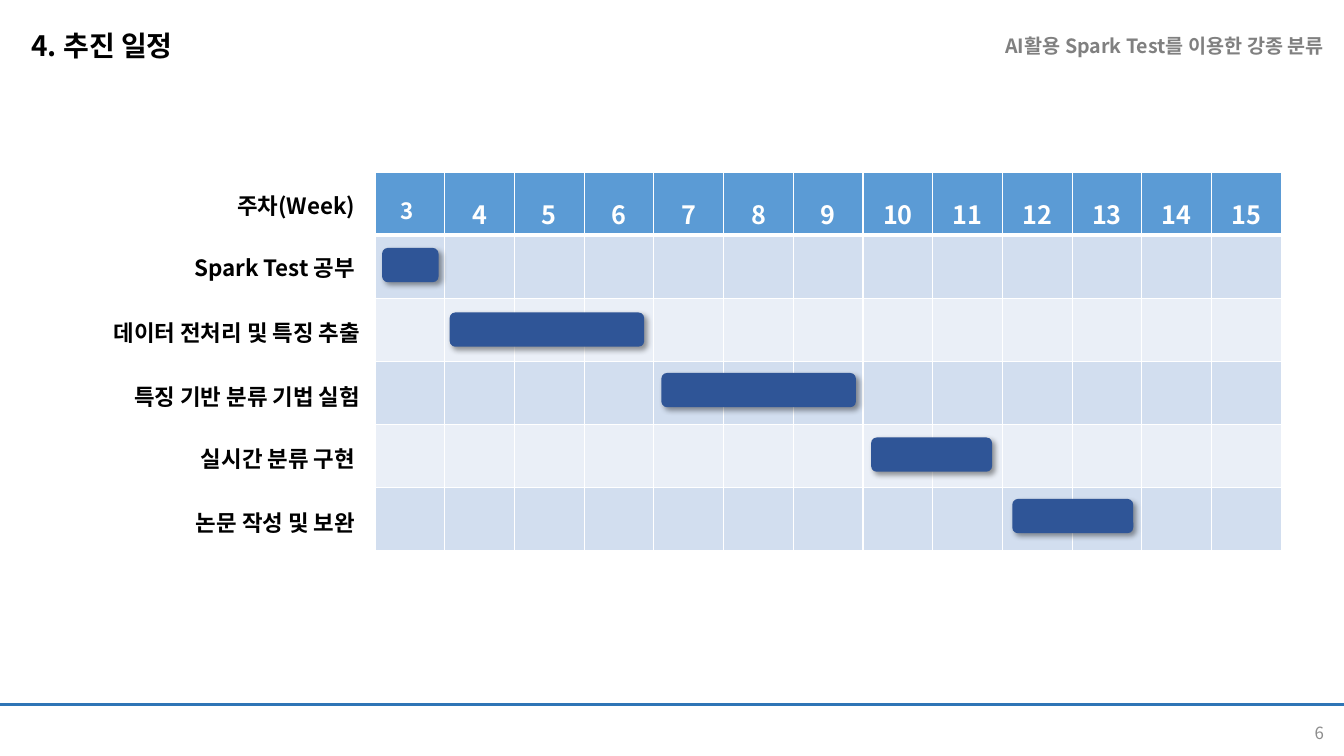
from lxml import etree
from pptx import Presentation
from pptx.dml.color import RGBColor
from pptx.enum.shapes import MSO_CONNECTOR, MSO_SHAPE
from pptx.enum.text import MSO_ANCHOR, MSO_AUTO_SIZE, PP_ALIGN
from pptx.oxml import parse_xml
from pptx.oxml.ns import nsdecls, qn
from pptx.util import Inches, Pt

LEFT, CENTER, RIGHT = PP_ALIGN.LEFT, PP_ALIGN.CENTER, PP_ALIGN.RIGHT
TOP, MIDDLE = MSO_ANCHOR.TOP, MSO_ANCHOR.MIDDLE
GROW, FIXED = MSO_AUTO_SIZE.SHAPE_TO_FIT_TEXT, MSO_AUTO_SIZE.NONE
ROUNDED = MSO_SHAPE.ROUNDED_RECTANGLE
STRAIGHT = MSO_CONNECTOR.STRAIGHT

FONT = "Noto Sans CJK KR"
BLACK = RGBColor(0x00, 0x00, 0x00)
WHITE = RGBColor(0xFF, 0xFF, 0xFF)
GRAY = RGBColor(0x80, 0x80, 0x80)
PAGE_GRAY = RGBColor(0x8C, 0x8C, 0x8C)
RULE_BLUE = RGBColor(0x2E, 0x75, 0xB6)
HEADER_BLUE = RGBColor(0x5B, 0x9B, 0xD5)
BAR_BLUE = RGBColor(0x2F, 0x55, 0x97)
BANDS = (RGBColor(0xD2, 0xDE, 0xEF), RGBColor(0xEA, 0xEF, 0xF7))

TITLE = "4. 추진 일정"
PROJECT = "AI활용 Spark Test를 이용한 강종 분류"
PAGE_NUMBER = "6"
WEEKS = ["3 "] + [str(week) for week in range(4, 16)]

# text, right edge, top
LABELS = [
    ("주차(Week)", 3.62, 1.86),
    ("Spark Test 공부", 3.62, 2.47),
    ("데이터 전처리 및 특징 추출", 3.67, 3.12),
    ("특징 기반 분류 기법 실험", 3.67, 3.75),
    ("실시간 분류 구현", 3.62, 4.37),
    ("논문 작성 및 보완", 3.62, 5.0),
]
# left, top, width
BARS = [
    (3.79, 2.46, 0.56),
    (4.46, 3.1, 1.93),
    (6.56, 3.7, 1.93),
    (8.64, 4.34, 1.2),
    (10.04, 4.95, 1.2),
]
LABEL_WIDTH, LABEL_HEIGHT, BAR_HEIGHT = 3.2, 0.37, 0.34
GRID_LEFT, GRID_TOP, GRID_WIDTH, GRID_HEIGHT = 3.72, 1.71, 8.99, 3.75


def write(frame, text, size, color, align, bold=True):
    para = frame.paragraphs[0]
    para.alignment = align
    span = para.add_run()
    span.text = text
    formats = {"name": FONT, "size": Pt(size), "bold": bold}
    for name, value in formats.items():
        setattr(span.font, name, value)
    span.font.color.rgb = color
    latin = span.font._element.find(qn("a:latin"))
    east_asian = etree.Element(qn("a:ea"), typeface=FONT)
    latin.addnext(east_asian)
    return para


def set_frame(frame, anchor=TOP, auto_size=GROW):
    formats = {
        "word_wrap": True, "vertical_anchor": anchor, "auto_size": auto_size,
        "margin_left": Inches(0.1), "margin_right": Inches(0.1),
        "margin_top": Inches(0.05), "margin_bottom": Inches(0.05),
    }
    for name, value in formats.items():
        setattr(frame, name, value)


def add_text(page, place, text, size, color, bold=True, **frame_format):
    box = page.shapes.add_textbox(*map(Inches, place))
    set_frame(box.text_frame, **frame_format)
    write(box.text_frame, text, size, color, RIGHT, bold)


def add_title(page):
    title = page.shapes.title
    place = {"left": 0.21, "top": 0.23, "width": 3.99, "height": 0.44}
    for name, value in place.items():
        setattr(title, name, Inches(value))
    set_frame(title.text_frame)
    write(title.text_frame, TITLE, 20, BLACK, LEFT)


def add_footer_rule(page):
    rule = page.shapes.add_connector(
        STRAIGHT, 0, Inches(6.99), Inches(13.33), Inches(6.99))
    rule.line.color.rgb = RULE_BLUE
    rule.line.width = Pt(2.25)
    etree.SubElement(rule._element.spPr, qn("a:effectLst"))


def set_borders(cell, bottom_width):
    properties = cell._tc.get_or_add_tcPr()
    widths = {"lnL": 1, "lnR": 1, "lnT": 1, "lnB": bottom_width}
    for index, (side, width) in enumerate(widths.items()):
        properties.insert(index, parse_xml(
            f'<a:{side} {nsdecls("a")} w="{Pt(width)}"><a:solidFill>'
            f'<a:srgbClr val="{WHITE}"/></a:solidFill></a:{side}>'))


def add_schedule(page):
    row_count = len(LABELS)
    place = (GRID_LEFT, GRID_TOP, GRID_WIDTH, GRID_HEIGHT)
    table = page.shapes.add_table(
        row_count, len(WEEKS), *map(Inches, place)).table
    for column in table.columns:
        column.width = Inches(GRID_WIDTH / len(WEEKS))
    for index, row in enumerate(table.rows):
        row.height = Inches(GRID_HEIGHT / row_count)
        for cell in row.cells:
            cell.fill.solid()
            cell.fill.fore_color.rgb = (
                BANDS[(index - 1) % 2] if index else HEADER_BLUE)
            set_borders(cell, 1 if index else 3)
    for index, week in enumerate(WEEKS):
        size = 18 if index else 16
        para = write(table.cell(0, index).text_frame, week, size, WHITE, CENTER)
        para.line_spacing = 1.5


def add_bar(page, left, top, width):
    place = (left, top, width, BAR_HEIGHT)
    bar = page.shapes.add_shape(ROUNDED, *map(Inches, place))
    bar.fill.solid()
    bar.fill.fore_color.rgb = BAR_BLUE
    bar.line.fill.background()
    bar._element.spPr.append(parse_xml(
        f'<a:effectLst {nsdecls("a")}><a:outerShdw blurRad="{Pt(4)}" '
        f'dist="{Pt(3)}" dir="2700000" algn="tl" rotWithShape="0">'
        f'<a:srgbClr val="{BLACK}"><a:alpha val="40000"/></a:srgbClr>'
        '</a:outerShdw></a:effectLst>'))


def main():
    deck = Presentation()
    deck.slide_width, deck.slide_height = Inches(13.33), Inches(7.5)
    page = deck.slides.add_slide(deck.slide_layouts[5])
    add_title(page)
    add_text(page, (12.78, 7.07, 0.45, 0.4), PAGE_NUMBER, 12, PAGE_GRAY,
             bold=False, anchor=MIDDLE, auto_size=FIXED)
    add_footer_rule(page)
    add_schedule(page)
    for text, right, top in LABELS:
        place = (right - LABEL_WIDTH, top, LABEL_WIDTH, LABEL_HEIGHT)
        add_text(page, place, text, 16, BLACK)
    for bar in BARS:
        add_bar(page, *bar)
    add_text(page, (8.57, 0.29, 4.66, 0.34), PROJECT, 14, GRAY)
    deck.save("out.pptx")


if __name__ == "__main__":
    main()
